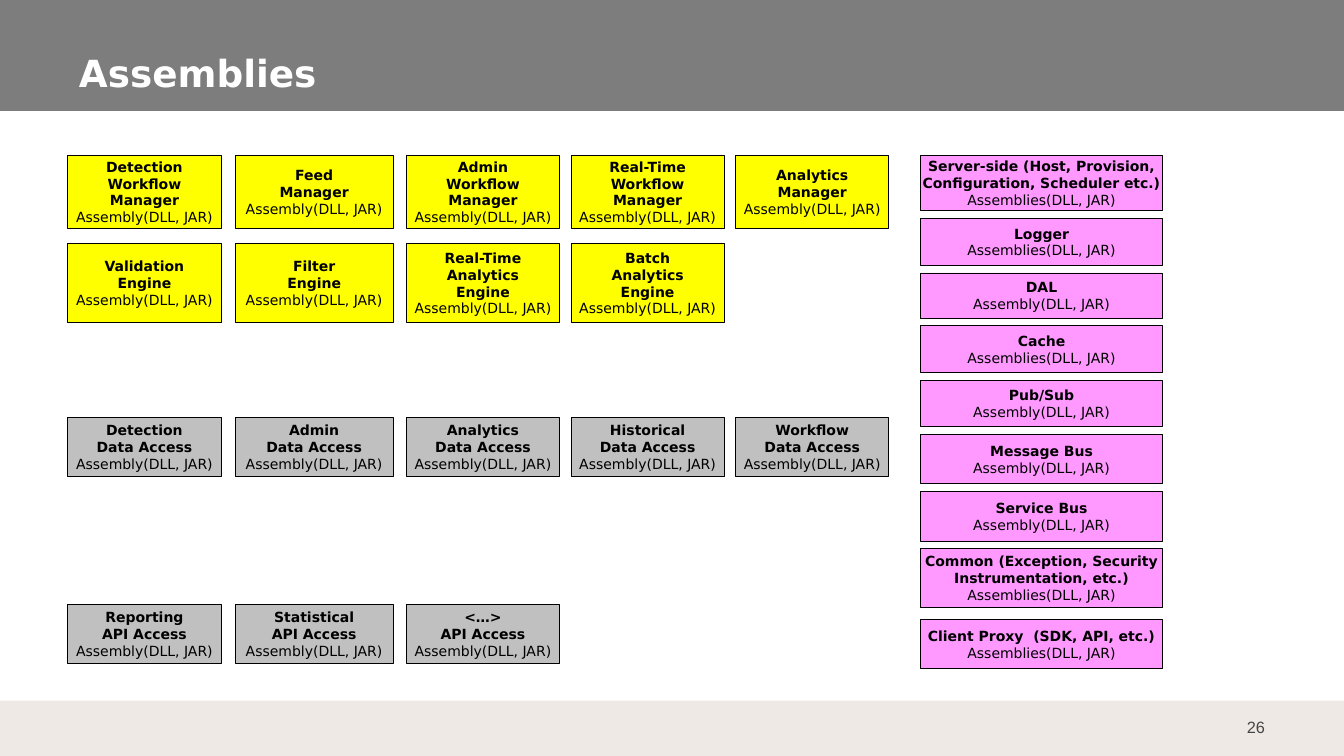
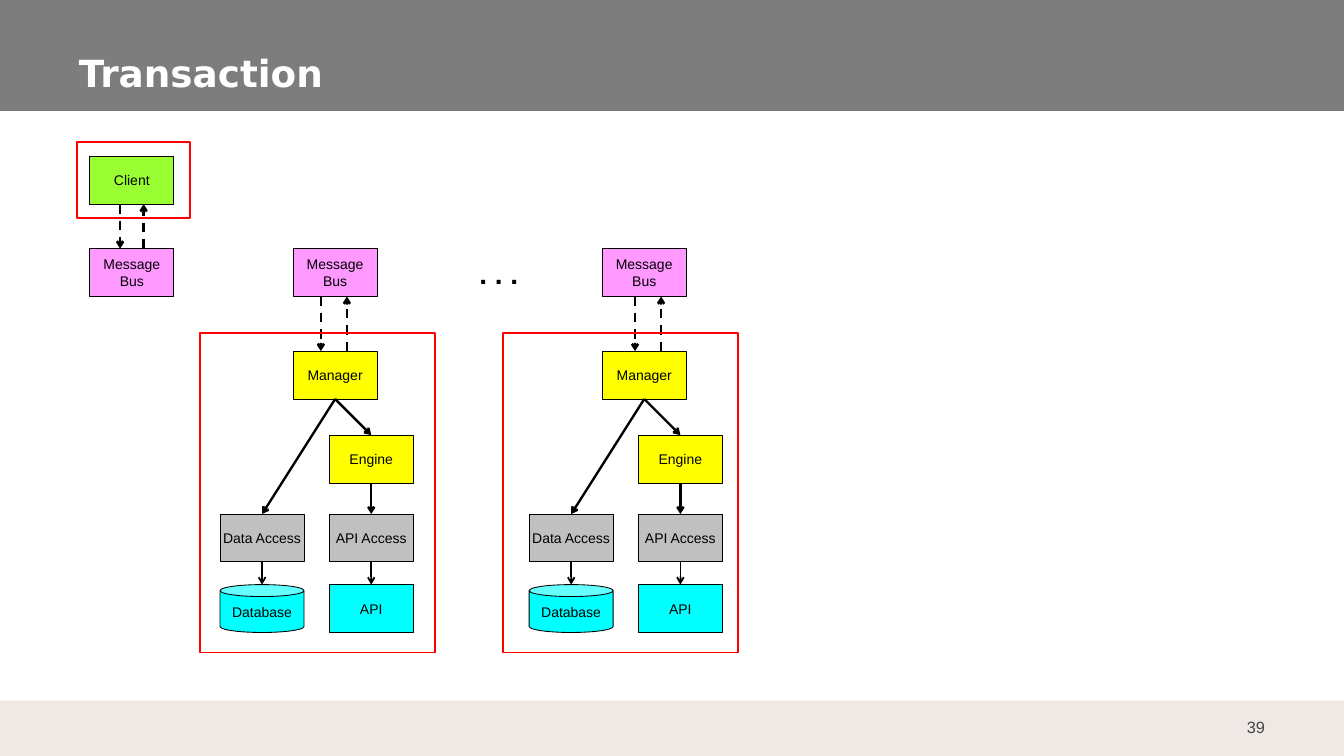
from pptx import Presentation
from pptx.dml.color import RGBColor as Rgb
from pptx.enum.dml import MSO_LINE as Dash
from pptx.enum.shapes import MSO_CONNECTOR as Link, MSO_SHAPE as Shape
from pptx.enum.text import MSO_ANCHOR as Anchor, MSO_AUTO_SIZE as Fit, PP_ALIGN as Align
from pptx.oxml.ns import qn
from pptx.util import Inches, Pt
from lxml.etree import SubElement

# The slide is a grid of 16 columns by 9 rows; all places are in grid units.
COLS, ROWS = 16, 9
UNIT = Inches(1)

HUES = {
    "band": "7D7D7D", "foot": "EFE9E5", "white": "FFFFFF", "black": "000000",
    "number": "464646", "yellow": "FFFF00", "gray": "C0C0C0", "pink": "FF99FF",
    "green": "99FF33", "cyan": "00FFFF", "red": "FF0000",
}
FONTS = {
    "title": ("white", Align.LEFT, dict(name="DejaVu Sans", size=Pt(32), bold=True)),
    "number": ("number", Align.RIGHT, dict(name="Arial", size=Pt(14))),
    "head": ("black", Align.CENTER, dict(name="DejaVu Sans", size=Pt(12), bold=True)),
    "kind": ("black", Align.CENTER, dict(name="DejaVu Sans", size=Pt(12), bold=False)),
    "node": ("black", Align.CENTER, dict(name="Arial", size=Pt(12))),
    "dots": ("black", Align.LEFT, dict(name="Arial", size=Pt(24), bold=True)),
}


def hue(name):
    return Rgb.from_string(HUES[name])


def grid(*units):
    return [round(UNIT * u) for u in units]


PADS = dict(zip(("margin_left", "margin_right", "margin_top", "margin_bottom"),
                grid(0.14, 0.14, 0.07, 0.07)))


def form(item, values):
    """Set each attribute named in values."""
    for name, value in values.items():
        setattr(item, name, value)


def write(frame, lines):
    """Write (text, font key) pairs, one paragraph each."""
    for i, (text, key) in enumerate(lines):
        para = frame.add_paragraph() if i else frame.paragraphs[0]
        ink, para.alignment, font = FONTS[key]
        run = para.add_run()
        run.text = text
        form(run.font, font)
        run.font.color.rgb = hue(ink)


def block(slide, box, fill=None, line="black", width=0.75, lines=(), kind=Shape.RECTANGLE):
    shape = slide.shapes.add_shape(kind, *grid(*box))
    shape.shadow.inherit = False
    if fill:
        shape.fill.solid()
        shape.fill.fore_color.rgb = hue(fill)
    else:
        shape.fill.background()
    if line:
        shape.line.color.rgb = hue(line)
        shape.line.width = Pt(width)
    else:
        shape.line.fill.background()
    if lines:
        form(shape.text_frame, dict(word_wrap=False, vertical_anchor=Anchor.MIDDLE))
        write(shape.text_frame, lines)
    return shape


def label(slide, box, text, key, **values):
    frame = slide.shapes.add_textbox(*grid(*box)).text_frame
    form(frame, dict(word_wrap=True) | values)
    write(frame, [(text, key)])


def arrow(slide, start, end, width=2, dash=False):
    link = slide.shapes.add_connector(Link.STRAIGHT, *grid(*start, *end))
    link.line.color.rgb = hue("black")
    link.line.width = Pt(width)
    if dash:
        link.line.dash_style = Dash.DASH
    props = link.element.spPr
    SubElement(props.get_or_add_ln(), qn("a:tailEnd"), type="arrow")
    SubElement(props, qn("a:effectLst"))


def bands(slide):
    """Draw the head and foot bands and move them to the shared layout."""
    first = slide.slide_layout.placeholders[0].element
    for box, fill in (((0, 0, COLS, 1.32), "band"), ((0, 8.34, COLS, 0.66), "foot")):
        first.addprevious(block(slide, box, fill, line=None).element)


def page(deck, title, number):
    slide = deck.slides.add_slide(deck.slide_layouts[5])
    head = slide.shapes.title
    form(head, dict(zip(("left", "top", "width", "height"), grid(0.8, 0.46, 14.2, 0.74))))
    form(head.text_frame, PADS | dict(vertical_anchor=Anchor.BOTTOM, auto_size=Fit.NONE))
    write(head.text_frame, [(title, "title")])
    label(slide, (14.4, 8.42, 0.8, 0.48), number, "number",
          vertical_anchor=Anchor.MIDDLE, **PADS)
    return slide


# Assemblies

LANES = [(0.8, 1.84), (2.8, 1.88), (4.84, 1.82), (6.8, 1.82), (8.76, 1.82)]
TIERS = [
    (1.85, 0.87, "yellow", ["Detection\nWorkflow\nManager", "Feed\nManager",
                            "Admin\nWorkflow\nManager", "Real-Time\nWorkflow\nManager",
                            "Analytics\nManager"]),
    (2.9, 0.94, "yellow", ["Validation\nEngine", "Filter\nEngine",
                           "Real-Time\nAnalytics\nEngine", "Batch\nAnalytics\nEngine"]),
    (4.97, 0.7, "gray", [f"{name}\nData Access" for name in
                         ("Detection", "Admin", "Analytics", "Historical", "Workflow")]),
    (7.2, 0.7, "gray", [f"{name}\nAPI Access" for name in
                        ("Reporting", "Statistical", "<…>")]),
]
ONE, MANY = "Assembly(DLL, JAR)", "Assemblies(DLL, JAR)"
STACK = [
    (0.66, "Server-side (Host, Provision,\nConfiguration, Scheduler etc.)", MANY),
    (0.56, "Logger", MANY),
    (0.54, "DAL", ONE),
    (0.56, "Cache", MANY),
    (0.55, "Pub/Sub", ONE),
    (0.59, "Message Bus", ONE),
    (0.59, "Service Bus", ONE),
    (0.7, "Common (Exception, Security\nInstrumentation, etc.)", MANY),
]
PROXY = [(0.58, "Client Proxy  (SDK, API, etc.)", MANY)]


def unit(slide, box, fill, name, kind):
    lines = [(line, "head") for line in name.split("\n")] + [(kind, "kind")]
    block(slide, box, fill, lines=lines)


def tier(slide, top, high, fill, names):
    for (left, wide), name in zip(LANES, names):
        unit(slide, (left, top, wide, high), fill, name, ONE)


def stack(slide, left, top, wide, items, gap=0.09):
    for high, name, kind in items:
        unit(slide, (left, top, wide, high), "pink", name, kind)
        top += high + gap


def assemblies(deck):
    slide = page(deck, "Assemblies", "26")
    bands(slide)
    for row in TIERS:
        tier(slide, *row)
    stack(slide, 10.96, 1.85, 2.88, STACK)
    stack(slide, 10.96, 7.38, 2.88, PROXY)


# Transaction

WIDE, HIGH = 1, 0.57
BUS = 2.96


def node(slide, left, top, text, fill, kind=Shape.RECTANGLE):
    lines = [(line, "node") for line in text.split("\n")]
    block(slide, (left, top, WIDE, HIGH), fill, lines=lines, kind=kind)


def bus(slide, left):
    node(slide, left, BUS, "Message\nBus", "pink")


def swap(slide, down, up, top, low):
    """Draw a dashed pair of arrows: a call down and an answer up."""
    arrow(slide, (down, top), (down, low), dash=True)
    arrow(slide, (up, low), (up, top), dash=True)


def outline(slide, *box):
    block(slide, box, line="red", width=1.5)


def client(slide, left, top):
    node(slide, left + 0.15, top + 0.17, "Client", "green")
    bus(slide, left + 0.15)
    swap(slide, left + 0.51, left + 0.79, top + 0.17 + HIGH, BUS)
    outline(slide, left, top, 1.34, 0.91)


def service(slide, left, top, pad, lean):
    """Draw one service; pad insets its nodes, lean shifts its bus arrows."""
    data = left + pad
    head, api = data + 0.87, data + 1.3
    tops = [top + step for step in (0.22, 1.22, 2.16, 3)]
    lows = [row + HIGH for row in tops]
    bus(slide, head)
    for x, row, text, fill, kind in (
        (head, 0, "Manager", "yellow", Shape.RECTANGLE),
        (api, 1, "Engine", "yellow", Shape.RECTANGLE),
        (data, 2, "Data Access", "gray", Shape.RECTANGLE),
        (api, 2, "API Access", "gray", Shape.RECTANGLE),
        (data, 3, "Database", "cyan", Shape.CAN),
        (api, 3, "API", "cyan", Shape.RECTANGLE),
    ):
        node(slide, x, tops[row], text, fill, kind)
    for x, row, goal, rank, width in (
        (head, 0, api, 1, 2), (head, 0, data, 2, 2), (api, 1, api, 2, 2),
        (data, 2, data, 3, 1.5), (api, 2, api, 3, 1.5),
    ):
        arrow(slide, (x + WIDE / 2, lows[row]), (goal + WIDE / 2, tops[rank]), width)
    swap(slide, head + 0.33 + lean, head + 0.64 + lean, BUS + HIGH, tops[0])
    outline(slide, left, top, 2.8, 3.81)


def transaction(deck):
    slide = page(deck, "Transaction", "39")
    client(slide, 0.92, 1.69)
    service(slide, 2.38, 3.96, pad=0.24, lean=0)
    service(slide, 5.99, 3.96, pad=0.31, lean=0.06)
    label(slide, (5.61, 3, 0.74, 0.5), ". . .", "dots")


def main():
    deck = Presentation()
    form(deck, dict(slide_width=UNIT * COLS, slide_height=UNIT * ROWS))
    assemblies(deck)
    transaction(deck)
    deck.save("out.pptx")


if __name__ == "__main__":
    main()
